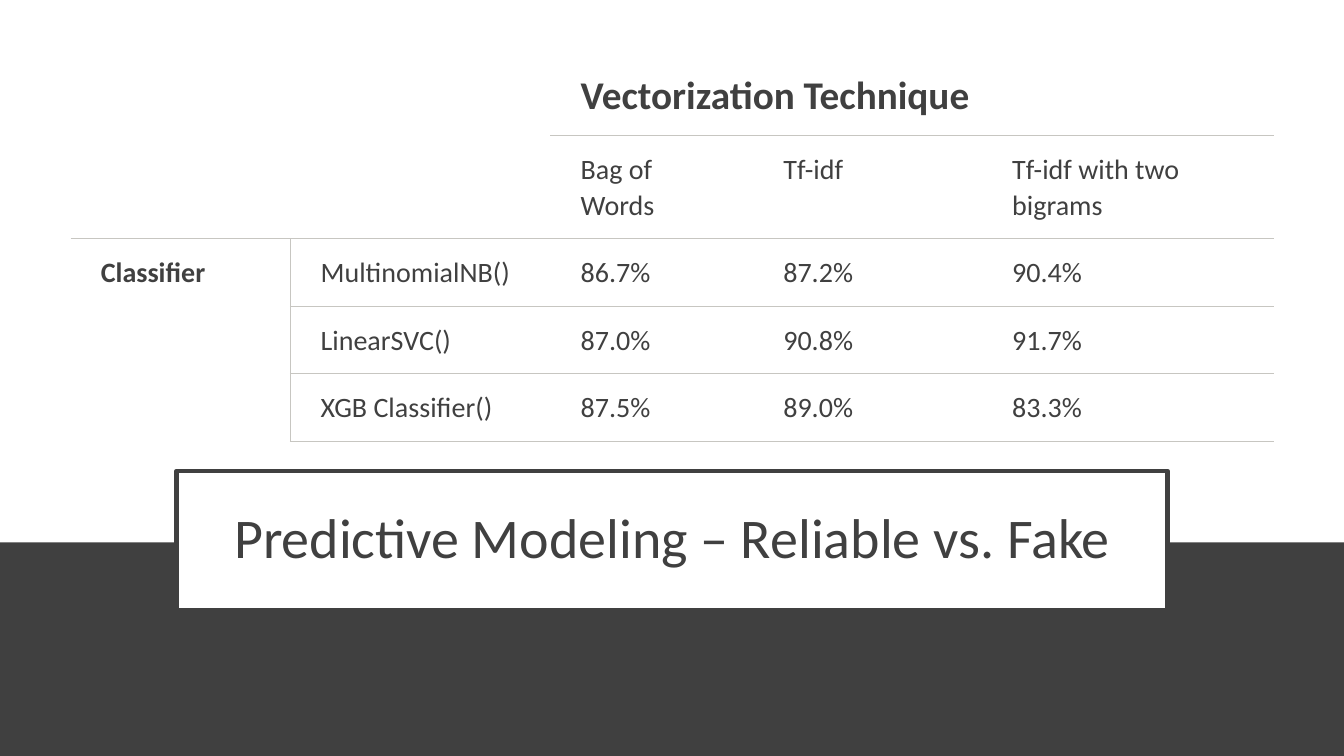
"""Builds the slide on classifier accuracy by vectorization technique."""
from lxml import etree
from pptx import Presentation
from pptx.dml.color import RGBColor
from pptx.enum.shapes import MSO_SHAPE
from pptx.enum.text import MSO_ANCHOR, MSO_AUTO_SIZE, PP_ALIGN
from pptx.oxml.ns import qn
from pptx.util import Inches, Pt

RECT = MSO_SHAPE.RECTANGLE
MIDDLE = MSO_ANCHOR.MIDDLE
CENTER = PP_ALIGN.CENTER
NO_FIT = MSO_AUTO_SIZE.NONE
DARK, WHITE, RULE = "404040", "FFFFFF", "C7C6C1"
FONT = "Calibri"


def rgb(value):
    return RGBColor.from_string(value)


def add_text(tf, text, size, bold, spacing):
    p = tf.paragraphs[0]
    p.line_spacing = spacing
    r = p.add_run()
    r.text = text
    r.font.name = FONT
    r.font.size = Pt(size)
    r.font.bold = bold
    r.font.color.rgb = rgb(DARK)
    return p


prs = Presentation()
prs.slide_width, prs.slide_height = Inches(13.33), Inches(7.5)
slide = prs.slides.add_slide(prs.slide_layouts[5])

band = slide.shapes.add_shape(RECT, 0, Inches(5.38), prs.slide_width, Inches(2.12))
band.shadow.inherit = False
band.fill.solid()
band.fill.fore_color.rgb = rgb(DARK)
band.line.fill.background()

title = slide.shapes.title
band._element.addnext(title._element)
title.left, title.top = Inches(1.75), Inches(4.67)
title.width, title.height = Inches(9.83), Inches(1.38)
title.fill.solid()
title.fill.fore_color.rgb = rgb(WHITE)
title.line.color.rgb = rgb(DARK)
title.line.width = Pt(3)
tf = title.text_frame
tf.word_wrap = True
tf.auto_size = NO_FIT
tf.vertical_anchor = MIDDLE
p = add_text(tf, "Predictive Modeling – Reliable vs. Fake", 40, False, 0.9)
p.alignment = CENTER

col_widths = [2.18, 2.58, 2.01, 2.27, 2.9]
row_heights = [0.81, 1.02, 0.67, 0.67, 0.67]
rows = [
    ["", "", "Vectorization Technique", "", ""],
    ["", "", "Bag of Words", "Tf-idf", "Tf-idf with two bigrams"],
    ["Classifier", "MultinomialNB()", "86.7%", "87.2%", "90.4%"],
    ["", "LinearSVC()", "87.0%", "90.8%", "91.7%"],
    ["", "XGB Classifier()", "87.5%", "89.0%", "83.3%"],
]
rule_starts = [5, 2, 0, 1, 1, 1]

frame = slide.shapes.add_table(
    len(rows), len(col_widths), Inches(0.7), Inches(0.53),
    Inches(sum(col_widths)), Inches(sum(row_heights)))
table = frame.table
table.first_row = table.horz_banding = False
for col, width in zip(table.columns, col_widths):
    col.width = Inches(width)
for row, height in zip(table.rows, row_heights):
    row.height = Inches(height)

for r_idx, texts in enumerate(rows):
    for c_idx, text in enumerate(texts):
        cell = table.cell(r_idx, c_idx)
        cell.margin_left, cell.margin_right = Inches(0.3), Inches(0.23)
        cell.margin_top = cell.margin_bottom = Inches(0.15)
        if text:
            bold = text in ("Vectorization Technique", "Classifier")
            add_text(cell.text_frame, text, 20 if r_idx else 28, bold, 1.07)
        tc_pr = cell._tc.get_or_add_tcPr()
        sides = {
            "a:lnL": r_idx >= 2 and c_idx == 1,
            "a:lnR": r_idx >= 2 and c_idx == 0,
            "a:lnT": c_idx >= rule_starts[r_idx],
            "a:lnB": c_idx >= rule_starts[r_idx + 1],
        }
        for side, shown in sides.items():
            ln = etree.SubElement(tc_pr, qn(side), w=str(Pt(0.75)))
            fill = etree.SubElement(ln, qn("a:solidFill" if shown else "a:noFill"))
            if shown:
                etree.SubElement(fill, qn("a:srgbClr"), val=RULE)
        cell.fill.background()

for first, last in [((0, 0), (1, 1)), ((0, 2), (0, 4)), ((2, 0), (4, 0))]:
    table.cell(*first).merge(table.cell(*last))

prs.save("out.pptx")
